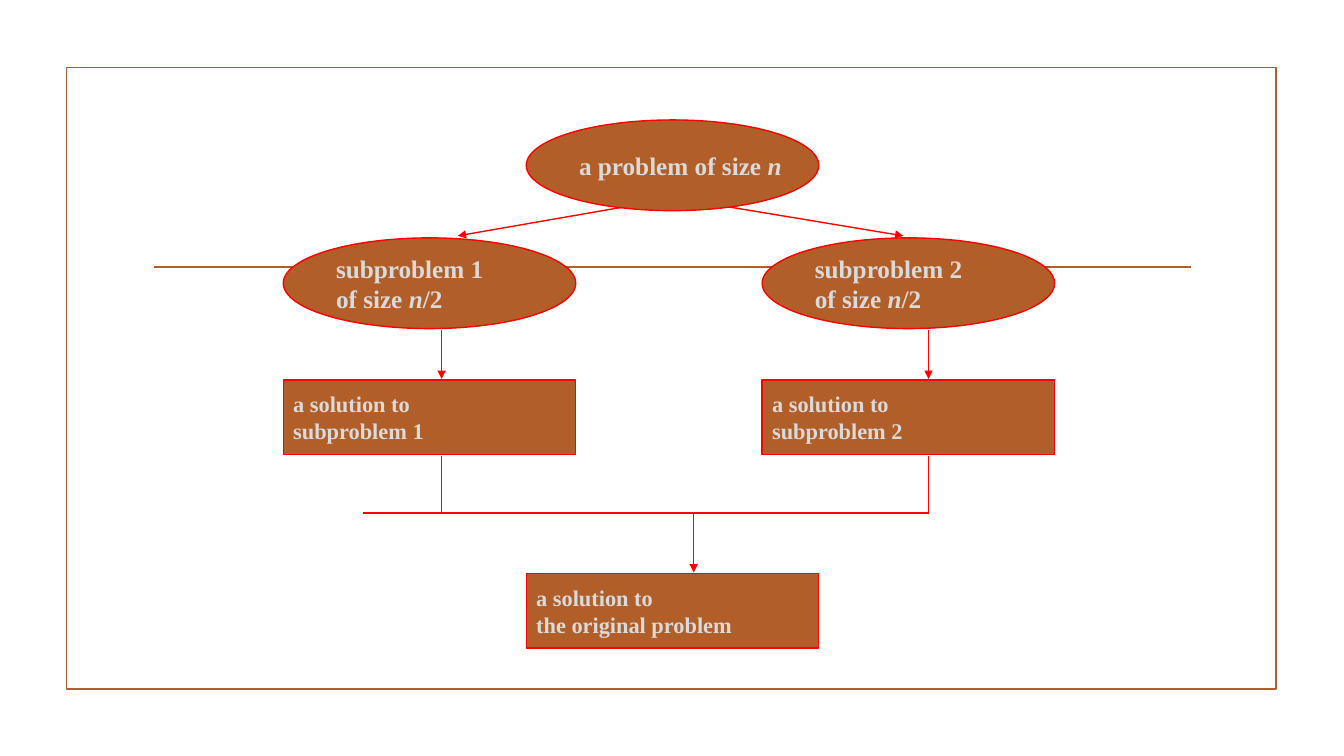
from lxml.etree import SubElement
from pptx import Presentation
from pptx.dml.color import RGBColor
from pptx.enum.shapes import MSO_CONNECTOR, MSO_SHAPE
from pptx.enum.text import MSO_ANCHOR, PP_ALIGN
from pptx.oxml.ns import qn
from pptx.util import Inches, Pt

WIDTH, HEIGHT = Inches(13.33), Inches(7.5)
BROWN, RED, PALE = "B15E28", "FF0000", "DADADA"
NODE_W, OVAL_H, BOX_H = 21.76, 12, 9.87
LEFT, MIDDLE, RIGHT = 21.08, 39.16, 56.71
PROBLEM_Y, SUBPROBLEM_Y, SOLUTION_Y, RESULT_Y = 15.87, 31.47, 50.27, 75.87
JOIN_Y = 67.87


def rgb(color):
    return RGBColor.from_string(color)


def across(percent):
    return int(WIDTH * percent / 100)


def down(percent):
    return int(HEIGHT * percent / 100)


def add_outline(s, kind, x, y, w, h, color, weight):
    sp = s.shapes.add_shape(kind, across(x), down(y), across(w), down(h))
    sp.shadow.inherit = False
    sp.fill.background()
    sp.line.color.rgb = rgb(color)
    sp.line.width = Pt(weight)
    return sp


def add_node(s, kind, x, y, h, size, lines):
    sp = add_outline(s, kind, x, y, NODE_W, h, RED, 1)
    sp.fill.solid()
    sp.fill.fore_color.rgb = rgb(BROWN)
    tf = sp.text_frame
    tf.word_wrap = False
    tf.vertical_anchor = MSO_ANCHOR.MIDDLE
    for i, runs in enumerate(lines):
        p = tf.add_paragraph() if i else tf.paragraphs[0]
        p.alignment = PP_ALIGN.LEFT
        p.font.name = "Times New Roman"
        p.font.size = Pt(size)
        p.font.bold = True
        p.font.color.rgb = rgb(PALE)
        for text in runs:
            r = p.add_run()
            r.text = text
            if text == "n":
                r.font.italic = True


def add_oval(s, x, y, *lines):
    add_node(s, MSO_SHAPE.OVAL, x, y, OVAL_H, 18, lines)


def add_box(s, x, y, *lines):
    add_node(s, MSO_SHAPE.RECTANGLE, x, y, BOX_H, 16, [[line] for line in lines])


def add_line(s, x1, y1, x2, y2, color=RED, weight=1, arrow=False):
    line = s.shapes.add_connector(
        MSO_CONNECTOR.STRAIGHT, across(x1), down(y1), across(x2), down(y2))
    line.line.color.rgb = rgb(color)
    line.line.width = Pt(weight)
    if arrow:
        SubElement(line.line._get_or_add_ln(), qn("a:tailEnd"), type="triangle")
    SubElement(line._element.spPr, qn("a:effectLst"))


def add_branch(s, number, x, split_x, tip_x, stem_x):
    add_oval(s, x, SUBPROBLEM_Y, [f"subproblem {number}"], ["of size ", "n", "/2"])
    add_box(s, x, SOLUTION_Y, "a solution to", f"subproblem {number}")
    add_line(s, split_x, 26.93, tip_x, 31.2, arrow=True)
    add_line(s, stem_x, 43.6, stem_x, 50.13, arrow=True)
    add_line(s, stem_x, 60.27, stem_x, JOIN_Y)


def main():
    prs = Presentation()
    prs.slide_width, prs.slide_height = WIDTH, HEIGHT
    s = prs.slides.add_slide(prs.slide_layouts[6])
    add_outline(s, MSO_SHAPE.RECTANGLE, 4.95, 8.93, 90, 82.27, BROWN, 1.25)
    add_line(s, 11.48, 35.33, 88.6, 35.33, BROWN, 1.25)
    add_branch(s, 2, RIGHT, 52.74, 67.22, 69.09)
    add_branch(s, 1, LEFT, 47.86, 34.06, 32.86)
    add_oval(s, MIDDLE, PROBLEM_Y, ["a problem of size ", "n"])
    add_box(s, MIDDLE, RESULT_Y, "a solution to", "the original problem")
    add_line(s, 27.01, JOIN_Y, 69.09, JOIN_Y)
    add_line(s, 51.61, 68, 51.61, 75.73, arrow=True)
    prs.save("out.pptx")


if __name__ == "__main__":
    main()
